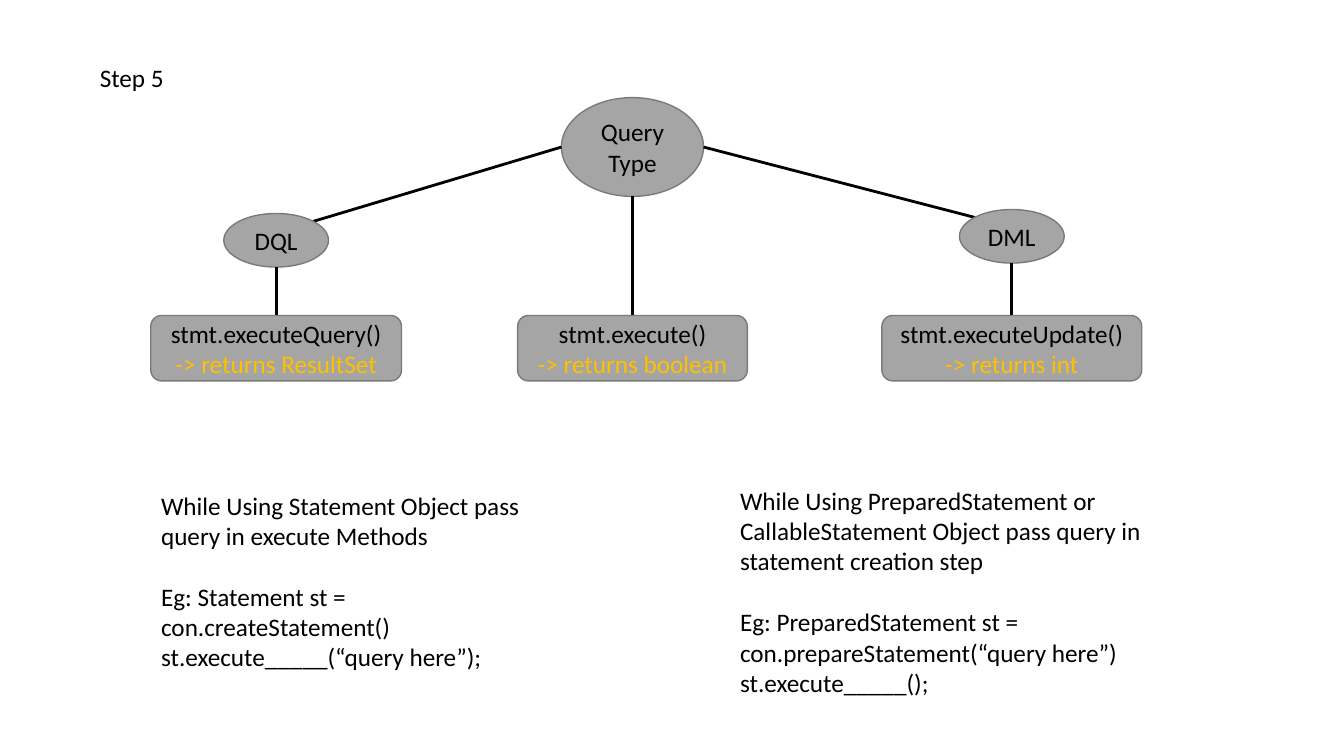
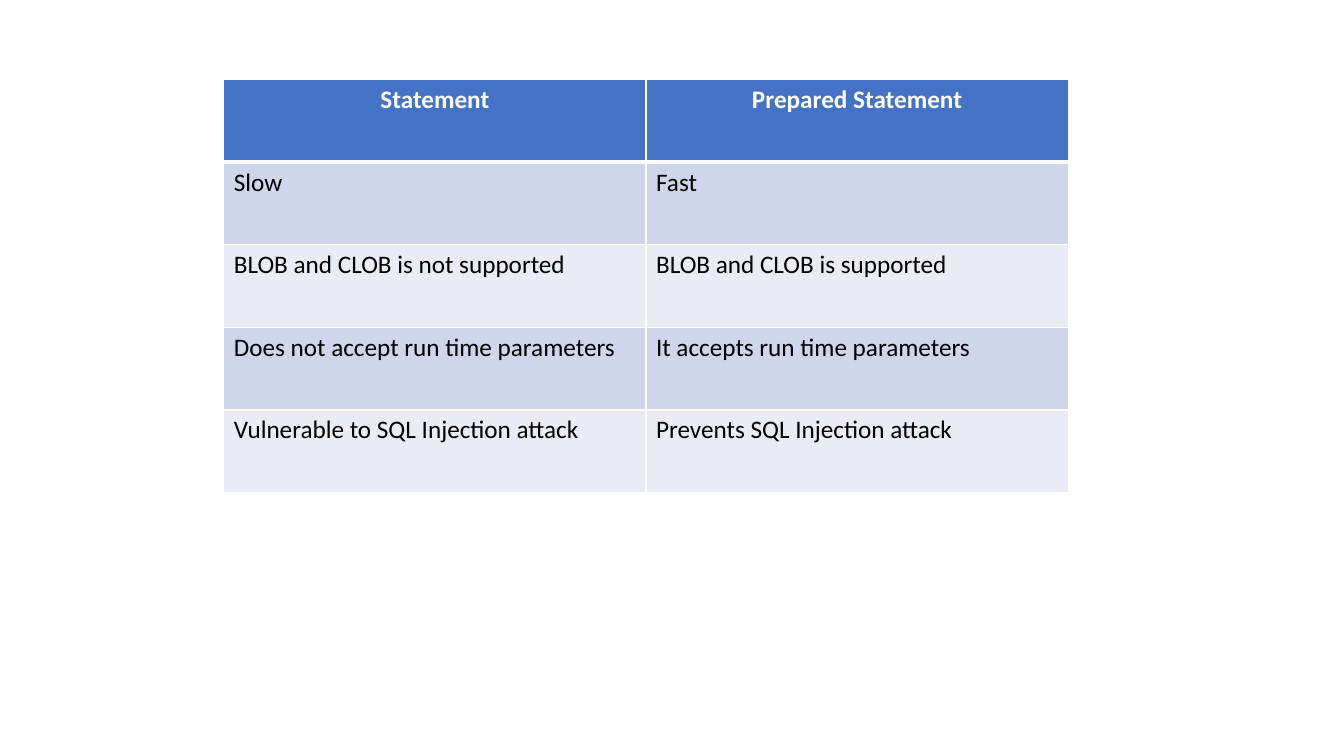
"""Build two slides on JDBC query execution and statement types."""
from lxml import etree
from pptx import Presentation
from pptx.dml.color import RGBColor
from pptx.enum.shapes import MSO_CONNECTOR, MSO_SHAPE
from pptx.enum.text import MSO_ANCHOR, MSO_AUTO_SIZE, PP_ALIGN
from pptx.oxml.ns import qn
from pptx.util import Cm, Pt

BLACK = RGBColor(0x00, 0x00, 0x00)
WHITE = RGBColor(0xFF, 0xFF, 0xFF)
GRAY = RGBColor(0xA5, 0xA5, 0xA5)
DARK_GRAY = RGBColor(0x7A, 0x7A, 0x7A)
GOLD = RGBColor(0xFF, 0xC0, 0x00)
BLUE = RGBColor(0x44, 0x72, 0xC4)
BAND_DARK = RGBColor(0xCF, 0xD5, 0xEA)
BAND_LIGHT = RGBColor(0xE9, 0xEB, 0xF5)
OVAL, ROUNDED = MSO_SHAPE.OVAL, MSO_SHAPE.ROUNDED_RECTANGLE
STRAIGHT = MSO_CONNECTOR.STRAIGHT
LEFT, CENTER = PP_ALIGN.LEFT, PP_ALIGN.CENTER
TOP, MIDDLE = MSO_ANCHOR.TOP, MSO_ANCHOR.MIDDLE
TITLE_ONLY, BLANK = 5, 6


def write(tf, lines, align=LEFT, bold=False):
    """Fill a text frame with (text, colour) paragraphs."""
    for i, (text, color) in enumerate(lines):
        p = tf.add_paragraph() if i else tf.paragraphs[0]
        p.alignment = align
        r = p.add_run()
        r.text = text
        r.font.name = "Calibri"
        r.font.size = Pt(18)
        r.font.bold = bold
        r.font.color.rgb = color


def add_node(s, kind, cx, top, width, height, lines):
    """Add a gray diagram node centred on cx."""
    sp = s.shapes.add_shape(kind, Cm(cx - width / 2), Cm(top), Cm(width), Cm(height))
    sp.shadow.inherit = False
    sp.fill.solid()
    sp.fill.fore_color.rgb = GRAY
    sp.line.color.rgb = DARK_GRAY
    sp.line.width = Pt(1)
    sp.text_frame.word_wrap = True
    sp.text_frame.vertical_anchor = MIDDLE
    write(sp.text_frame, lines, CENTER)


prs = Presentation()
prs.slide_width, prs.slide_height = Cm(33.87), Cm(19.05)

s = prs.slides.add_slide(prs.slide_layouts[TITLE_ONLY])
title = s.shapes.title
title.left, title.top, title.width, title.height = Cm(2.26), Cm(1.45), Cm(30.02), Cm(1.02)
title.text_frame.auto_size = MSO_AUTO_SIZE.NONE
title.text_frame.vertical_anchor = TOP
write(title.text_frame, [("Step 5", BLACK)])

DQL_X, QUERY_X, DML_X = 6.96, 15.94, 25.5
BOX_TOP = 7.95
ovals = [
    (QUERY_X, 2.46, 3.58, 2.49, "Query Type"),
    (DQL_X, 5.38, 2.64, 1.35, "DQL"),
    (DML_X, 5.28, 2.64, 1.35, "DML"),
]
for cx, top, width, height, text in ovals:
    add_node(s, OVAL, cx, top, width, height, [(text, BLACK)])
    bottom = top + height
    branches = [(cx, bottom, cx, BOX_TOP)]
    if cx == QUERY_X:
        mid = top + height / 2
        branches += [
            (cx - width / 2, mid, 7.89, 5.58),
            (cx + width / 2, mid, 24.57, 5.48),
        ]
    for x1, y1, x2, y2 in branches:
        cxn = s.shapes.add_connector(STRAIGHT, Cm(x1), Cm(y1), Cm(x2), Cm(y2))
        cxn.line.color.rgb = BLACK
        cxn.line.width = Pt(2)
        etree.SubElement(cxn._element.spPr, qn("a:effectLst"))

boxes = [
    (DQL_X, 6.32, "stmt.executeQuery()", "-> returns ResultSet"),
    (QUERY_X, 5.79, "stmt.execute()", "-> returns boolean"),
    (DML_X, 6.55, "stmt.executeUpdate()", "-> returns int"),
]
for cx, width, call, result in boxes:
    add_node(s, ROUNDED, cx, BOX_TOP, width, 1.65, [(call, BLACK), (result, GOLD)])

notes = [
    (3.81, 12.22, 9.86, 4.88, [
        "While Using Statement Object pass query in execute Methods",
        "Eg: Statement st = con.createStatement()",
        "st.execute_____(“query here”);",
    ]),
    (18.4, 12.1, 12.14, 5.64, [
        "While Using PreparedStatement or CallableStatement Object pass query in "
        "statement creation step",
        "Eg: PreparedStatement st = con.prepareStatement(“query here”)",
        "st.execute_____();",
    ]),
]
for left, top, width, height, lines in notes:
    tf = s.shapes.add_textbox(Cm(left), Cm(top), Cm(width), Cm(height)).text_frame
    tf.word_wrap = True
    write(tf, [(text, BLACK) for text in lines])
    tf.paragraphs[1].space_before = Pt(22)

s = prs.slides.add_slide(prs.slide_layouts[BLANK])
rows = [
    ("Statement", "Prepared Statement"),
    ("Slow", "Fast"),
    ("BLOB and CLOB is not supported", "BLOB and CLOB is supported"),
    ("Does not accept run time parameters", "It accepts run time parameters"),
    ("Vulnerable to SQL Injection attack", "Prevents SQL Injection attack"),
]
table = s.shapes.add_table(len(rows), 2, Cm(5.64), Cm(2.01), Cm(21.28), Cm(10.4)).table
for i, row in enumerate(rows):
    header = i == 0
    for j, text in enumerate(row):
        cell = table.cell(i, j)
        tcPr = cell._tc.get_or_add_tcPr()
        for side in ("L", "R", "T", "B"):
            thick = (i, side) in ((0, "B"), (1, "T"))
            ln = etree.SubElement(tcPr, qn(f"a:ln{side}"), w=str(Pt(3 if thick else 1)))
            fill = etree.SubElement(ln, qn("a:solidFill"))
            etree.SubElement(fill, qn("a:srgbClr"), val=str(WHITE))
        cell.fill.solid()
        cell.fill.fore_color.rgb = BLUE if header else BAND_DARK if i % 2 else BAND_LIGHT
        write(cell.text_frame, [(text, WHITE if header else BLACK)],
              CENTER if header else LEFT, header)

prs.save("out.pptx")
